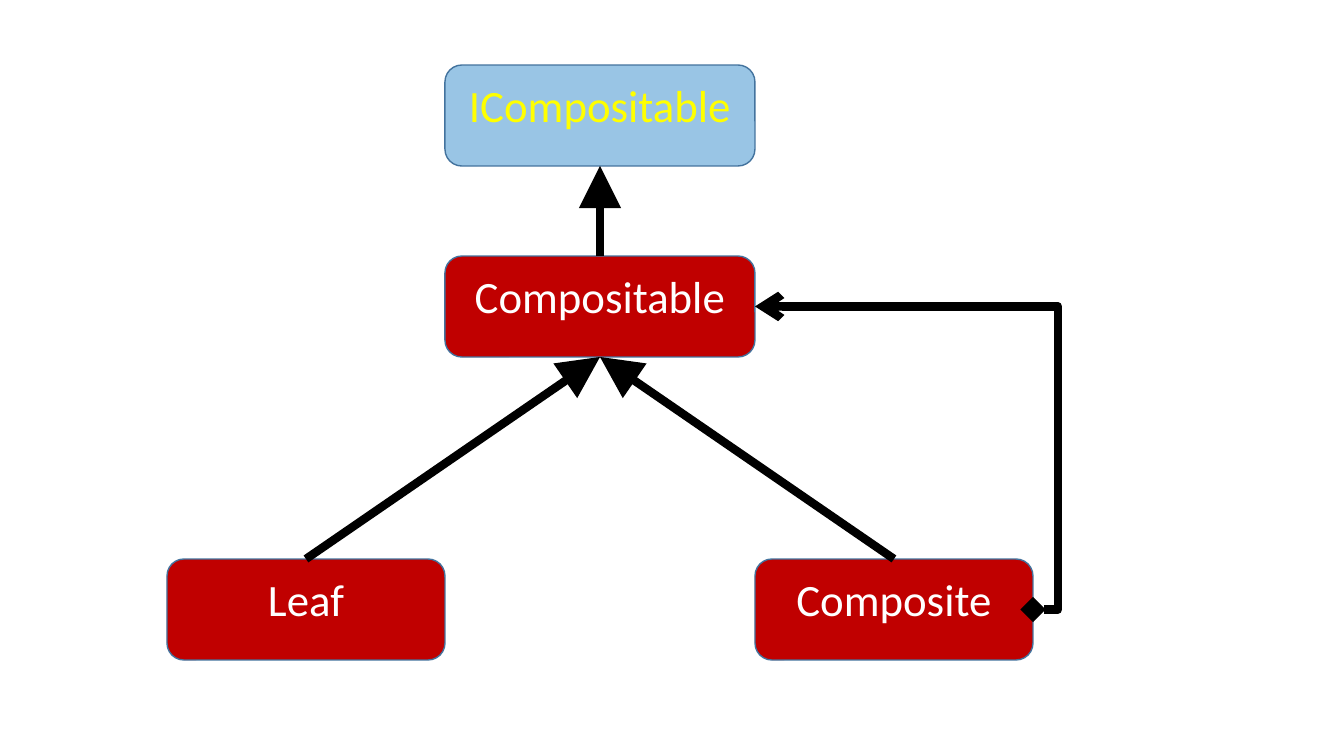
from lxml import etree
from pptx import Presentation
from pptx.dml.color import RGBColor
from pptx.enum.shapes import MSO_CONNECTOR, MSO_SHAPE
from pptx.enum.text import MSO_ANCHOR, PP_ALIGN
from pptx.oxml.ns import qn
from pptx.util import Emu, Pt

ROUNDED = MSO_SHAPE.ROUNDED_RECTANGLE
STRAIGHT, ELBOW = MSO_CONNECTOR.STRAIGHT, MSO_CONNECTOR.ELBOW
TOP, CENTER = MSO_ANCHOR.TOP, PP_ALIGN.CENTER
SITE_TOP, SITE_BOTTOM, SITE_RIGHT = 0, 2, 3  # connection sites of a box

BLACK = RGBColor(0x00, 0x00, 0x00)
WHITE = RGBColor(0xFF, 0xFF, 0xFF)
YELLOW = RGBColor(0xFF, 0xFF, 0x00)
RED = RGBColor(0xC0, 0x00, 0x00)
BLUE = RGBColor(0x00, 0x70, 0xC0)
OUTLINE = RGBColor(0x43, 0x73, 0x9E)

PX = 914400 / 100.8
BOX_HEIGHT = 101

# Classes: name, left, top, width, fill, opacity in percent, text colour
CLASSES = [
    ("ICompositable", 445, 65, 310, BLUE, 40, YELLOW),
    ("Compositable", 445, 256, 310, RED, 100, WHITE),
    ("Leaf", 167, 559, 278, RED, 100, WHITE),
    ("Composite", 755, 559, 278, RED, 100, WHITE),
]
# Inheritance: child, parent
INHERITANCE = [
    ("Leaf", "Compositable"),
    ("Composite", "Compositable"),
    ("Compositable", "ICompositable"),
]
# Aggregation: the elbow runs this far to the right of the whole
WHOLE, PART, ELBOW_REACH = "Composite", "Compositable", 25


def px(length):
    return Emu(round(length * PX))


def write(shape, text, size=32, color=WHITE, font="Calibri"):
    frame = shape.text_frame
    frame.word_wrap = True
    frame.vertical_anchor = TOP
    frame.margin_top = px(8)
    paragraph = frame.paragraphs[0]
    paragraph.alignment = CENTER
    run = paragraph.add_run()
    run.text = text
    run.font.name, run.font.size = font, Pt(size)
    run.font.color.rgb = color


def add_class(name, left, top, width, fill, opacity, color):
    box = slide.shapes.add_shape(ROUNDED, px(left), px(top), px(width), px(BOX_HEIGHT))
    box.shadow.inherit = False
    box.fill.solid()
    box.fill.fore_color.rgb = fill
    if opacity < 100:
        rgb = box.fill._xPr.find(".//" + qn("a:srgbClr"))
        etree.SubElement(rgb, qn("a:alpha"), val=str(opacity * 1000))
    box.line.color.rgb = OUTLINE
    box.line.width = Pt(1)
    write(box, name, color=color)
    return box


def connect(kind, start, start_site, end, end_site, **arrowheads):
    link = slide.shapes.add_connector(kind, 0, 0, 0, 0)
    link.begin_connect(start, start_site)
    link.end_connect(end, end_site)
    link.line.color.rgb = BLACK
    link.line.width = Pt(6)
    line = link.line._get_or_add_ln()
    for tag in ("headEnd", "tailEnd"):
        if tag in arrowheads:
            head, size = arrowheads[tag]
            etree.SubElement(line, qn("a:" + tag), type=head, w=size, len=size)
    etree.SubElement(link._element.spPr, qn("a:effectLst"))
    return link


deck = Presentation()
deck.slide_width, deck.slide_height = px(1344), px(756)
slide = deck.slides.add_slide(deck.slide_layouts[6])

# Class boxes
boxes = {entry[0]: add_class(*entry) for entry in CLASSES}

# Inheritance arrows
for child, parent in INHERITANCE:
    connect(STRAIGHT, boxes[child], SITE_TOP, boxes[parent], SITE_BOTTOM,
            tailEnd=("triangle", "lg"))

# Aggregation arrow
aggregation = connect(ELBOW, boxes[WHOLE], SITE_RIGHT, boxes[PART], SITE_RIGHT,
                      headEnd=("diamond", "med"), tailEnd=("arrow", "med"))
bend = -round(px(ELBOW_REACH) / aggregation.width * 100000)
geometry = aggregation._element.spPr.find(qn("a:prstGeom"))
adjustments = geometry.find(qn("a:avLst"))
if adjustments is None:
    adjustments = etree.SubElement(geometry, qn("a:avLst"))
etree.SubElement(adjustments, qn("a:gd"), name="adj1", fmla=f"val {bend}")

deck.save("out.pptx")
